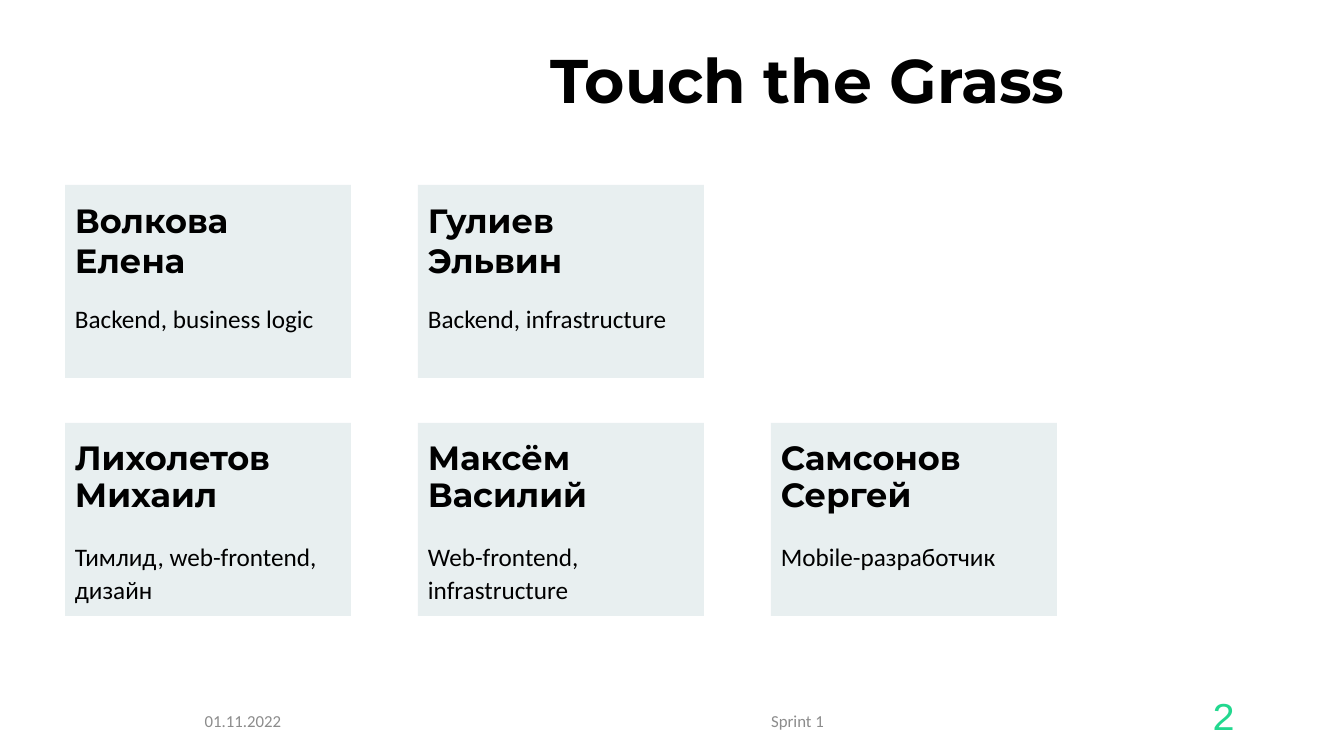
"""Build the team slide: a title, five member cards and a footer."""
from pptx import Presentation
from pptx.dml.color import RGBColor
from pptx.enum.shapes import MSO_SHAPE as Shape
from pptx.enum.text import MSO_ANCHOR as Anchor, PP_ALIGN as Align
from pptx.util import Pt

SCALE = 914400 / 100.8
BLACK, GREY, GREEN, PALE = "000000", "8C8C8C", "22D88F", "E8EFF0"


def color(code):
    """Turn a hex string into a colour."""
    return RGBColor.from_string(code)


def label(box, text, font, size, ink=BLACK, bold=False, fill=None,
          align=Align.LEFT, anchor=Anchor.MIDDLE, line=1.0, before=0):
    """Add text in a plain box, or in a filled card part."""
    area = [round(v * SCALE) for v in box]
    if fill:
        shape = slide.shapes.add_shape(Shape.RECTANGLE, *area)
        shape.shadow.inherit = False
        shape.fill.solid()
        shape.fill.fore_color.rgb = color(fill)
        shape.line.fill.background()
    else:
        shape = slide.shapes.add_textbox(*area)
    frame = shape.text_frame
    frame.word_wrap = True
    frame.vertical_anchor = anchor
    para = frame.paragraphs[0]
    para.text = text
    para.alignment = align
    para.line_spacing = line
    para.space_before = Pt(before)
    para.font.name = font
    para.font.size = Pt(size)
    para.font.bold = bold
    para.font.color.rgb = color(ink)


deck = Presentation()
deck.slide_width = round(1344 * SCALE)
deck.slide_height = round(756 * SCALE)
slide = deck.slides.add_slide(deck.slide_layouts[6])

label((370, 27, 705, 114), "Touch the Grass", "Montserrat", 44, bold=True,
      align=Align.RIGHT, line=0.9)

LEFT, STEP, WIDTH = 65, 353, 286
HEAD, BODY = 110, 83
rows = [
    (185, 1.0, [("Волкова Елена", "Backend, business logic"),
                ("Гулиев Эльвин", "Backend, infrastructure")]),
    (423, 0.9, [("Лихолетов Михаил", "Тимлид, web-frontend, дизайн"),
                ("Максём Василий", "Web-frontend, infrastructure"),
                ("Самсонов Сергей", "Mobile-разработчик")]),
]
for top, line, team in rows:
    for col, (name, role) in enumerate(team):
        left = LEFT + col * STEP
        label((left, top, WIDTH, HEAD), name, "Montserrat", 24, bold=True,
              fill=PALE, line=line, before=10)
        label((left, top + HEAD, WIDTH, BODY), role, "Calibri", 18,
              fill=PALE, anchor=Anchor.TOP, line=1.1, before=10)

for left, width, text in [(92, 302, "01.11.2022"), (445, 705, "Sprint 1")]:
    label((left, 701, width, 40), text, "Calibri", 12, GREY, align=Align.CENTER)
label((1202, 689, 131, 52), "2", "Courier New", 28, GREEN)

deck.save("out.pptx")
